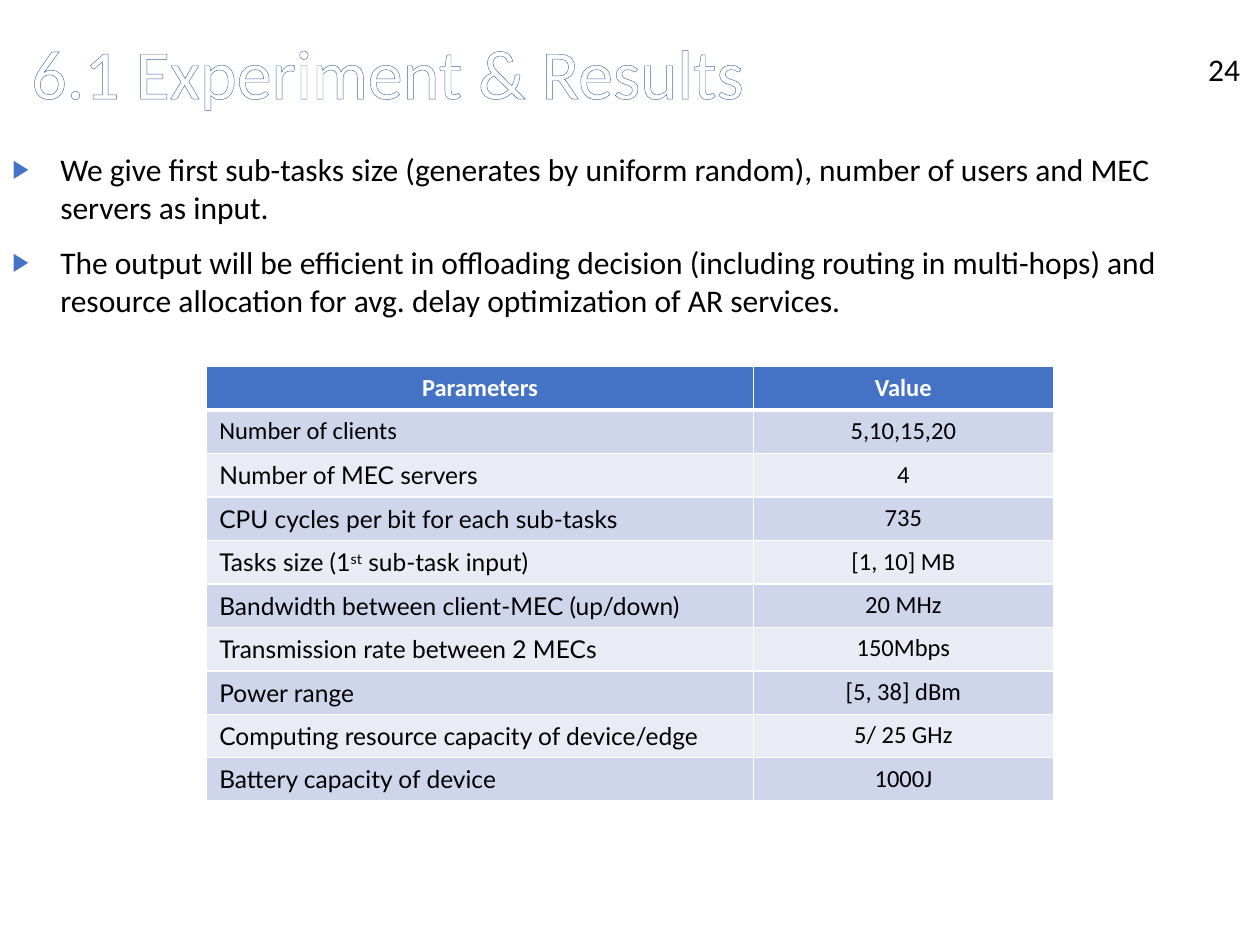
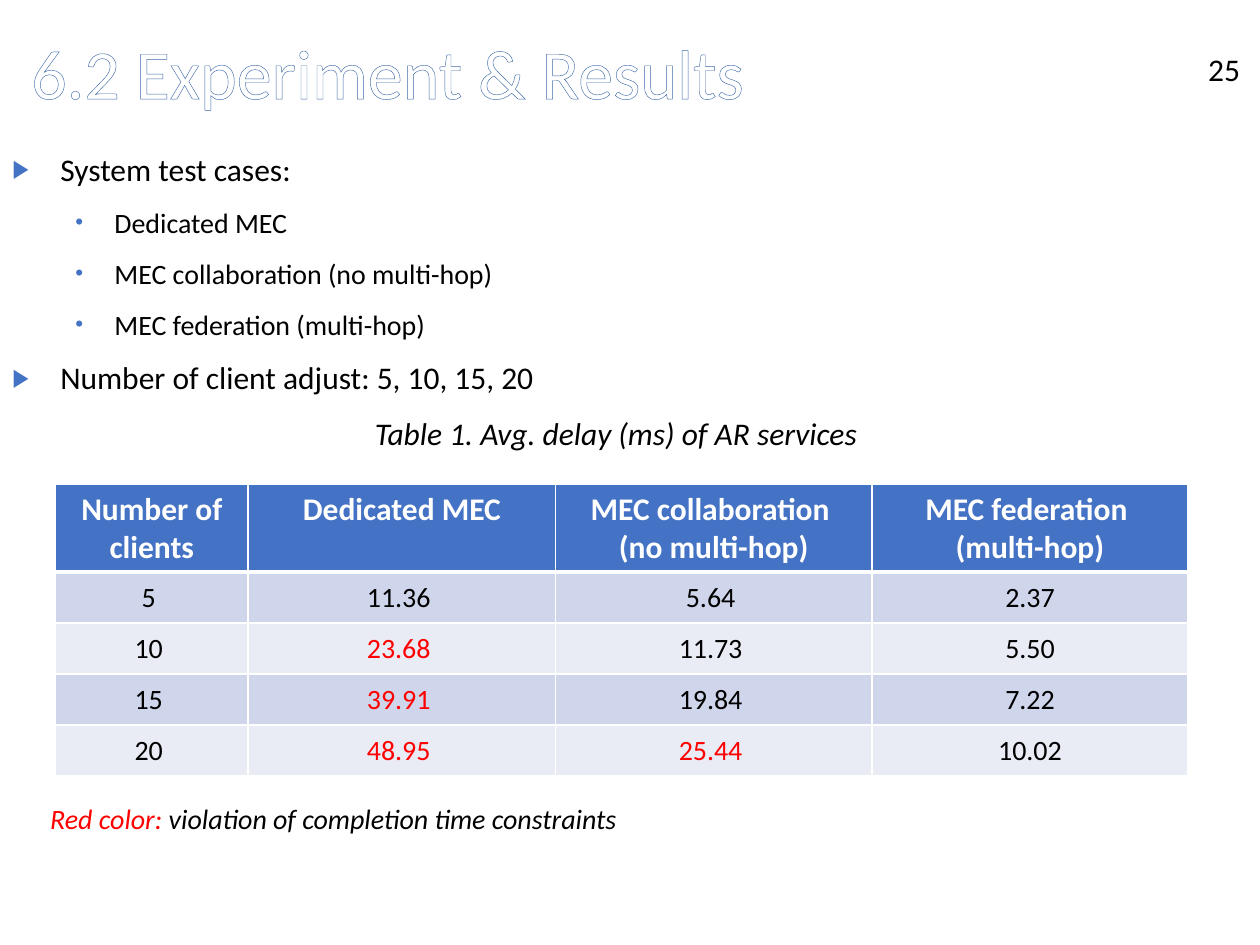
from dataclasses import dataclass

from lxml import etree
from pptx import Presentation
from pptx.dml.color import RGBColor
from pptx.enum.text import MSO_AUTO_SIZE as AutoSize
from pptx.enum.text import MSO_VERTICAL_ANCHOR as Anchor
from pptx.enum.text import PP_PARAGRAPH_ALIGNMENT as Align
from pptx.oxml.ns import qn
from pptx.util import Emu, Inches, Pt

# Page grid: 100 columns by 75 rows
WIDTH, HEIGHT = Inches(10), Inches(7.5)
COLUMN, ROW = WIDTH // 100, HEIGHT // 75


@dataclass(frozen=True)
class Theme:
    font: str = "Calibri"
    label_font: str = "Lato"
    text: str = "000000"
    white: str = "FFFFFF"
    accent: str = "4472C4"
    title_outline: str = "3F6AA8"
    alert: str = "FF0000"
    bands: tuple[str, str] = ("CFD5EA", "E9EBF5")
    title_size: int = 40
    body_size: int = 18
    sub_size: int = 16
    small_size: int = 14
    gap: int = 10


THEME = Theme()


@dataclass(frozen=True)
class Area:
    """A rectangle in grid columns and rows."""
    left: float
    top: float
    columns: float
    rows: float

    def lengths(self) -> tuple[Emu, Emu, Emu, Emu]:
        return (Emu(round(self.left * COLUMN)), Emu(round(self.top * ROW)),
                Emu(round(self.columns * COLUMN)), Emu(round(self.rows * ROW)))


@dataclass(frozen=True)
class Bullet:
    mark: str
    indent: float
    hanging: float
    level: int = 0


@dataclass(frozen=True)
class Span:
    text: str
    color: str | None = None
    raised: bool = False


@dataclass(frozen=True)
class Para:
    spans: tuple[Span, ...]
    size: int = THEME.body_size
    color: str = THEME.text
    font: str = THEME.font
    bold: bool = False
    italic: bool = False
    align: Align = Align.LEFT
    bullet: Bullet | None = None


@dataclass(frozen=True)
class Cell:
    paras: tuple[Para, ...]
    anchor: Anchor = Anchor.MIDDLE


ARROW = Bullet("▶", 3.8, 3.8)
DOT = Bullet("•", 8.1, 3.1, level=1)

TITLE_AREA = Area(1.5, 1.8, 97.8, 7.7)
NUMBER_AREA = Area(94.3, 3.5, 5.7, 4)


# Text
def point(text: str) -> Para:
    return Para((Span(text),), bullet=ARROW)


def sub_point(text: str) -> Para:
    return Para((Span(text),), size=THEME.sub_size, bullet=DOT)


def solid_fill(parent, color: str) -> None:
    fill = etree.SubElement(parent, qn("a:solidFill"))
    etree.SubElement(fill, qn("a:srgbClr"), val=color)


def add_bullet(paragraph, bullet: Bullet) -> None:
    paragraph.level = bullet.level
    properties = paragraph._p.get_or_add_pPr()
    properties.set("marL", str(round(bullet.indent * COLUMN)))
    properties.set("indent", str(-round(bullet.hanging * COLUMN)))
    color = etree.SubElement(properties, qn("a:buClr"))
    etree.SubElement(color, qn("a:srgbClr"), val=THEME.accent)
    etree.SubElement(properties, qn("a:buSzPct"), val="80000")
    etree.SubElement(properties, qn("a:buFont"), typeface="Arial")
    etree.SubElement(properties, qn("a:buChar"), char=bullet.mark)


def write(frame, paras: tuple[Para, ...], gap: int = 0) -> None:
    for index, para in enumerate(paras):
        paragraph = frame.add_paragraph() if index else frame.paragraphs[0]
        paragraph.alignment = para.align
        paragraph.space_before = Pt(gap)
        if para.bullet:
            add_bullet(paragraph, para.bullet)
        font = paragraph.font
        font.name, font.size = para.font, Pt(para.size)
        font.bold, font.italic = para.bold, para.italic
        font.color.rgb = RGBColor.from_string(para.color)
        for span in para.spans:
            run = paragraph.add_run()
            run.text = span.text
            if span.color:
                run.font.color.rgb = RGBColor.from_string(span.color)
            if span.raised:
                run._r.get_or_add_rPr().set("baseline", "30000")


def add_text(page, area: Area, *paras: Para, anchor: Anchor = Anchor.TOP,
             gap: int = 0, grow: bool = False):
    box = page.shapes.add_textbox(*area.lengths())
    frame = box.text_frame
    frame.word_wrap = True
    frame.vertical_anchor = anchor
    if grow:
        frame.auto_size = AutoSize.SHAPE_TO_FIT_TEXT
    write(frame, paras, gap)
    return box


# Shared page parts
def add_page(deck, title: str, number: int):
    page = deck.slides.add_slide(deck.slide_layouts[6])
    heading = Para((Span(title, THEME.white),), THEME.title_size, THEME.white)
    box = add_text(page, TITLE_AREA, heading, anchor=Anchor.MIDDLE)
    properties = box.text_frame.paragraphs[0].runs[0]._r.get_or_add_rPr()
    outline = etree.Element(qn("a:ln"), w=str(Pt(1.45)))
    solid_fill(outline, THEME.title_outline)
    properties.insert(0, outline)
    add_text(page, NUMBER_AREA, Para((Span(str(number)),), align=Align.CENTER))
    return page


# Tables
def header_cell(size: int, *lines: str) -> Cell:
    return Cell(tuple(Para((Span(line),), size, THEME.white, bold=True,
                           align=Align.CENTER) for line in lines), Anchor.TOP)


def value_cell(text: str, size: int, color: str = THEME.text,
               anchor: Anchor = Anchor.MIDDLE) -> Cell:
    return Cell((Para((Span(text),), size, color, align=Align.CENTER),), anchor)


def set_borders(cell, top: int, bottom: int) -> None:
    properties = cell._tc.get_or_add_tcPr()
    for side, width in (("L", 1), ("R", 1), ("T", top), ("B", bottom)):
        line = etree.SubElement(properties, qn(f"a:ln{side}"), w=str(Pt(width)))
        solid_fill(line, THEME.white)


def add_grid(page, area: Area, columns: tuple[float, ...],
             rows: tuple[float, ...], cells: list[list[Cell]]) -> None:
    table = page.shapes.add_table(len(rows), len(columns), *area.lengths()).table
    for index, width in enumerate(columns):
        table.columns[index].width = Emu(round(width * COLUMN))
    for row, height in enumerate(rows):
        table.rows[row].height = Emu(round(height * ROW))
        fill = THEME.bands[(row - 1) % 2] if row else THEME.accent
        for column, content in enumerate(cells[row]):
            cell = table.cell(row, column)
            set_borders(cell, top=3 if row == 1 else 1, bottom=1 if row else 3)
            cell.fill.solid()
            cell.fill.fore_color.rgb = RGBColor.from_string(fill)
            cell.vertical_anchor = content.anchor
            write(cell.text_frame, content.paras)


# Experiment parameters
PARAMETERS = (
    ((Span("Number of clients"),), "5,10,15,20"),
    ((Span("Number of MEC servers"),), "4"),
    ((Span("CPU cycles per bit for each sub-tasks"),), "735"),
    ((Span("Tasks size (1"), Span("st", raised=True), Span(" sub-task input)")),
     "[1, 10] MB"),
    ((Span("Bandwidth between client-MEC (up/down)"),), "20 MHz"),
    ((Span("Transmission rate between 2 MECs"),), "150Mbps"),
    ((Span("Power range"),), "[5, 38] dBm"),
    ((Span("Computing resource capacity of device/edge"),), "5/ 25 GHz"),
    ((Span("Battery capacity of device"),), "1000J"),
)


def build_parameters(deck) -> None:
    page = add_page(deck, "6.1 Experiment & Results", 24)
    add_text(
        page, Area(0, 11.4, 97.8, 14.5),
        point("We give first sub-tasks size (generates by uniform random), "
              "number of users and MEC servers as input."),
        point("The output will be efficient in offloading decision (including "
              "routing in multi-hops) and resource allocation for avg. delay "
              "optimization of AR services."),
        gap=THEME.gap, grow=True)
    size = THEME.small_size
    cells = [[header_cell(size, "Parameters"), header_cell(size, "Value")]]
    for index, (label, value) in enumerate(PARAMETERS):
        font = THEME.label_font if index else THEME.font
        anchor = Anchor.MIDDLE if index else Anchor.TOP
        cells.append([Cell((Para(label, size, font=font),), anchor),
                      value_cell(value, size, anchor=Anchor.TOP)])
    add_grid(page, Area(16.4, 29.1, 67.2, 34.5), (43.4, 23.8),
             (3.45,) * len(cells), cells)


# Delay results
DELAY_LIMIT = 20
DELAYS = (
    ("5 ", "11.36 ", "5.64 ", "2.37"),
    ("10 ", "23.68 ", "11.73 ", "5.50"),
    ("15 ", "39.91 ", "19.84 ", "7.22"),
    ("20 ", "48.95 ", "25.44 ", "10.02"),
)


def build_delays(deck) -> None:
    page = add_page(deck, "6.2 Experiment & Results", 25)
    add_text(
        page, Area(0, 11.4, 97.8, 25.2),
        point("System test cases:"),
        sub_point("Dedicated MEC"),
        sub_point("MEC collaboration (no multi-hop)"),
        sub_point("MEC federation (multi-hop)"),
        point("Number of client adjust: 5, 10, 15, 20"),
        Para((Span("Table 1. Avg. delay (ms) of AR services"),), italic=True,
             align=Align.CENTER),
        gap=THEME.gap, grow=True)
    size = THEME.body_size
    cells = [[header_cell(size, "Number of clients"),
              header_cell(size, "Dedicated MEC"),
              header_cell(size, "MEC collaboration ", "(no multi-hop)"),
              header_cell(size, "MEC federation ", "(multi-hop)")]]
    for row in DELAYS:
        cells.append([
            value_cell(text, THEME.sub_size,
                       THEME.alert if float(text) > DELAY_LIMIT else THEME.text)
            for text in row])
    add_grid(page, Area(4.4, 38.4, 89.9, 23.2), (15.3, 24.4, 25.1, 25.1),
             (6.9,) + (4.05,) * len(DELAYS), cells)
    add_text(page, Area(3, 63.1, 94.8, 3.7),
             Para((Span("Red color: ", THEME.alert),
                   Span("violation of completion time constraints")),
                  THEME.sub_size, italic=True))


def main() -> None:
    deck = Presentation()
    deck.slide_width, deck.slide_height = WIDTH, HEIGHT
    build_parameters(deck)
    build_delays(deck)
    deck.save("out.pptx")


if __name__ == "__main__":
    main()
